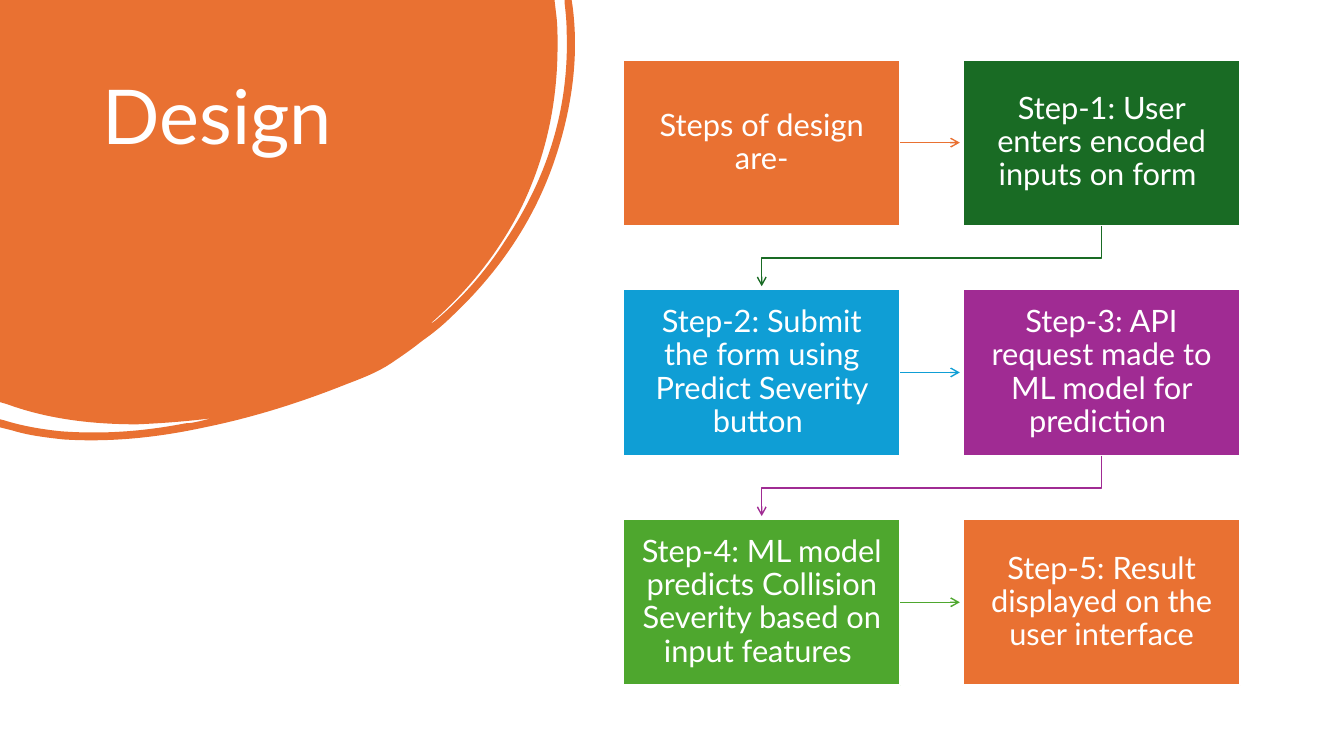
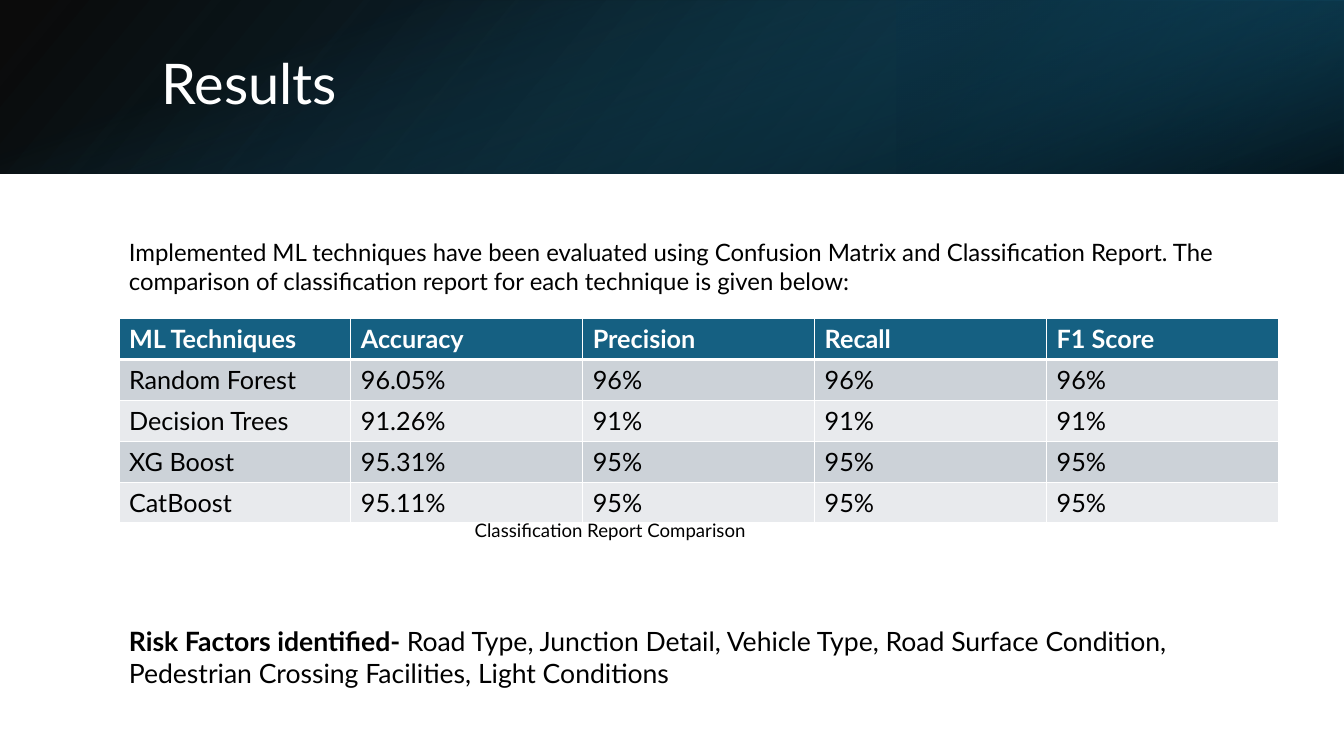
from dataclasses import dataclass
from typing import Any, Optional

from lxml.etree import SubElement
from pptx import Presentation
from pptx.dml.color import RGBColor
from pptx.enum.shapes import MSO_CONNECTOR, MSO_SHAPE
from pptx.enum.text import MSO_ANCHOR, MSO_AUTO_SIZE, PP_ALIGN
from pptx.oxml.ns import qn
from pptx.util import Inches, Pt

FONT = "Lato"
COLORS = {
    "white": "FFFFFF",
    "black": "000000",
    "orange": "E97132",
    "green": "196B24",
    "blue": "0F9ED5",
    "purple": "A02B93",
    "lime": "4EA72E",
    "teal": "156082",
    "deep_teal": "104862",
    "night": "0B3041",
    "gray": "CCD2D8",
    "pale": "E8EAED",
}

TITLE_FRAME = {"word_wrap": True, "auto_size": MSO_AUTO_SIZE.NONE}
NOTE_FRAME = {"word_wrap": True, "auto_size": MSO_AUTO_SIZE.SHAPE_TO_FIT_TEXT}
STEP_FRAME = {
    "word_wrap": True,
    "vertical_anchor": MSO_ANCHOR.MIDDLE,
    "margin_left": Inches(0.13),
    "margin_right": Inches(0.13),
    "margin_top": Inches(0.14),
    "margin_bottom": Inches(0.14),
}
TITLE_PARAGRAPH = {"alignment": PP_ALIGN.LEFT, "line_spacing": 0.9}
STEP_PARAGRAPH = {"alignment": PP_ALIGN.CENTER, "line_spacing": 0.9}
NOTE_PARAGRAPH = {"alignment": PP_ALIGN.LEFT, "space_after": Pt(6)}


@dataclass(frozen=True)
class Area:
    left: float
    top: float
    width: float
    height: float

    def lengths(self) -> list[int]:
        return [Inches(value) for value in (self.left, self.top, self.width, self.height)]


@dataclass(frozen=True)
class Span:
    text: str
    size: float
    color: str = "black"
    bold: bool = False


@dataclass(frozen=True)
class Step:
    text: str
    color: str


@dataclass(frozen=True)
class Stop:
    position: float
    color: str
    opacity: int


@dataclass(frozen=True)
class Band:
    area: Area
    angle: int
    stops: tuple[Stop, Stop]
    rotation: int = 0
    flipped: bool = False


@dataclass(frozen=True)
class Note:
    area: Area
    spans: tuple[Span, ...]


STEPS = [
    Step("Steps of design are-", "orange"),
    Step("Step-1: User enters encoded inputs on form ", "green"),
    Step("Step-2: Submit the form using Predict Severity button ", "blue"),
    Step("Step-3: API request made to ML model for prediction ", "purple"),
    Step("Step-4: ML model predicts Collision Severity based on input features ", "lime"),
    Step("Step-5: Result displayed on the user interface", "orange"),
]
STEP_WIDTH, STEP_HEIGHT = 2.75, 1.65
STEP_LEFT, STEP_TOP = 6.18, 0.59
COLUMN_PITCH, ROW_PITCH = 3.37, 2.28
ARROW_GAP = 0.03

BLOB_OUTLINE = [
    (0, 0), (5.5, 0), (5.52, 0.17),
    (5.53, 0.26, 5.53, 0.36, 5.53, 0.45),
    (5.53, 1.01, 5.42, 1.54, 5.18, 2.04),
    (4.96, 2.49, 4.65, 2.88, 4.27, 3.21),
    (4.29, 3.21, 4.3, 3.19, 4.32, 3.18),
    (4.59, 2.95, 4.82, 2.69, 5.01, 2.39),
    (5.43, 1.76, 5.65, 1.07, 5.62, 0.3),
    (5.62, 0.21, 5.61, 0.12, 5.6, 0.03),
    (5.6, 0), (5.67, 0), (5.68, 0.07),
    (5.74, 0.54, 5.68, 1.02, 5.53, 1.5),
    (5.33, 2.14, 4.97, 2.68, 4.48, 3.14),
    (4.39, 3.23, 4.29, 3.31, 4.19, 3.38),
    (4.09, 3.46, 3.99, 3.53, 3.87, 3.61),
    (3.75, 3.69, 3.6, 3.75, 3.44, 3.81),
    (2.99, 3.99, 2.52, 4.14, 2.03, 4.24),
    (1.57, 4.34, 1.1, 4.39, 0.63, 4.36),
    (0.45, 4.34, 0.28, 4.32, 0.12, 4.27),
    (0, 4.24), (0, 4.16), (0.04, 4.17),
    (0.23, 4.23, 0.42, 4.26, 0.61, 4.28),
    (1.03, 4.31, 1.43, 4.28, 1.84, 4.2),
    (1.89, 4.2, 1.93, 4.19, 1.98, 4.18),
    (2.02, 4.17, 2.06, 4.16, 2.1, 4.15),
    (1.86, 4.18, 1.61, 4.2, 1.36, 4.21),
    (0.92, 4.21, 0.48, 4.16, 0.07, 4.01),
    (0, 3.99),
]

BANDS = [
    Band(Area(0, 0, 13.33, 1.72), 140,
         (Stop(0, "black", 96), Stop(1, "deep_teal", 100)), flipped=True),
    Band(Area(8.89, 0, 4.44, 1.72), 320,
         (Stop(0.19, "night", 68), Stop(1, "teal", 79)), rotation=180, flipped=True),
    Band(Area(5.8, -5.8, 1.72, 13.33), 340,
         (Stop(0.23, "teal", 0), Stop(0.99, "black", 74)), rotation=90),
]

REPORT = [
    ("ML Techniques", "Accuracy", "Precision", "Recall", "F1 Score"),
    ("Random Forest", "96.05%", "96%", "96%", "96%"),
    ("Decision Trees", "91.26%", "91%", "91%", "91%"),
    ("XG Boost", "95.31%", "95%", "95%", "95%"),
    ("CatBoost", "95.11%", "95%", "95%", "95%"),
]

NOTES = [
    Note(Area(1.18, 6.15, 11.01, 0.74), (
        Span("Risk Factors identified- ", 19, bold=True),
        Span("Road Type, Junction Detail, Vehicle Type, Road Surface Condition, "
             "Pedestrian Crossing Facilities, Light Conditions", 19),
    )),
    Note(Area(1.18, 2.31, 11.01, 0.68), (
        Span("Implemented ML techniques have been evaluated using Confusion Matrix and "
             "Classification Report. The comparison of classification report for each "
             "technique is given below:", 17.1),
    )),
    Note(Area(4.61, 5.1, 3.7, 0.32), (Span("Classification Report Comparison", 13.3),)),
]


def rgb(name: str) -> RGBColor:
    return RGBColor.from_string(COLORS[name])


def apply_format(target: Any, values: dict[str, Any]) -> None:
    for name, value in values.items():
        setattr(target, name, value)


def write_text(frame: Any, spans: tuple[Span, ...], frame_format: dict[str, Any],
               para_format: dict[str, Any]) -> None:
    apply_format(frame, frame_format)
    para = frame.paragraphs[0]
    apply_format(para, para_format)
    for span in spans:
        run = para.add_run()
        run.text = span.text
        apply_format(run.font, {"name": FONT, "size": Pt(span.size), "bold": span.bold})
        run.font.color.rgb = rgb(span.color)


def place_title(page: Any, text: str, area: Area, size: float, anchor: MSO_ANCHOR) -> None:
    title = page.shapes.title
    page.shapes.element.append(title.element)
    names = ("left", "top", "width", "height")
    apply_format(title, dict(zip(names, area.lengths())))
    write_text(title.text_frame, (Span(text, size, "white"),),
               TITLE_FRAME | {"vertical_anchor": anchor}, TITLE_PARAGRAPH)


def add_rectangle(page: Any, area: Area, color: Optional[str] = None) -> Any:
    box = page.shapes.add_shape(MSO_SHAPE.RECTANGLE, *area.lengths())
    box.shadow.inherit = False
    box.line.fill.background()
    if color:
        box.fill.solid()
        box.fill.fore_color.rgb = rgb(color)
    return box


def add_outline(page: Any, segments: list[tuple[float, ...]], close: bool) -> Any:
    points = [(Inches(segment[-2]), Inches(segment[-1])) for segment in segments]
    builder = page.shapes.build_freeform(*points[0], scale=1.0)
    builder.add_line_segments(points[1:], close=close)
    outline = builder.convert_to_shape()
    outline.shadow.inherit = False
    lines = list(outline.element.spPr.iter(qn("a:lnTo")))
    for line, segment in zip(lines, segments[1:]):
        if len(segment) == 6:
            bend_segment(line, segment, outline.left, outline.top)
    return outline


def bend_segment(line: Any, segment: tuple[float, ...], left: int, top: int) -> None:
    line.tag = qn("a:cubicBezTo")
    for index in (0, 2):
        x, y = Inches(segment[index]) - left, Inches(segment[index + 1]) - top
        control = SubElement(line, qn("a:pt"), x=str(x), y=str(y))
        line.insert(index // 2, control)


def style_arrow(arrow: Any, color: str) -> None:
    arrow.line.color.rgb = rgb(color)
    arrow.line.width = Pt(1)
    SubElement(arrow.element.spPr.find(qn("a:ln")), qn("a:tailEnd"), type="arrow")


def add_step(page: Any, step: Step, area: Area) -> Any:
    box = add_rectangle(page, area, step.color)
    box.line.color.rgb = rgb("white")
    box.line.width = Pt(1.5)
    write_text(box.text_frame, (Span(step.text, 22, "white"),), STEP_FRAME, STEP_PARAGRAPH)
    return box


def add_side_arrow(page: Any, box: Any, area: Area, color: str) -> None:
    middle = Inches(area.top + area.height / 2)
    arrow = page.shapes.add_connector(
        MSO_CONNECTOR.STRAIGHT, Inches(area.left + area.width), middle,
        Inches(area.left + COLUMN_PITCH - ARROW_GAP), middle)
    arrow.begin_connect(box, 3)
    style_arrow(arrow, color)
    SubElement(arrow.element.spPr, qn("a:effectLst"))


def add_return_arrow(page: Any, area: Area, color: str) -> None:
    start_x = area.left + area.width / 2
    end_x = start_x - COLUMN_PITCH
    start_y = area.top + area.height
    end_y = area.top + ROW_PITCH - ARROW_GAP
    bend_y = start_y + 0.32
    arrow = add_outline(
        page, [(start_x, start_y), (start_x, bend_y), (end_x, bend_y), (end_x, end_y)], False)
    arrow.fill.background()
    style_arrow(arrow, color)


def add_band(page: Any, band: Band) -> None:
    box = add_rectangle(page, band.area)
    box.fill.gradient()
    box.fill.gradient_angle = 360 - band.angle
    for target, stop in zip(box.fill.gradient_stops, band.stops):
        target.position = stop.position
        target.color.rgb = rgb(stop.color)
    colors = box.element.spPr.find(qn("a:gradFill")).iter(qn("a:srgbClr"))
    for color, stop in zip(list(colors), band.stops):
        SubElement(color, qn("a:alpha"), val=str(stop.opacity * 1000))
    box.rotation = band.rotation
    if band.flipped:
        box.element.spPr.find(qn("a:xfrm")).set("flipH", "1")


def add_borders(cell: Any, widths: dict[str, float]) -> None:
    properties = cell._tc.get_or_add_tcPr()
    for index, (side, width) in enumerate(widths.items()):
        border = SubElement(properties, qn(f"a:ln{side}"), w=str(Pt(width)))
        fill = SubElement(border, qn("a:solidFill"))
        SubElement(fill, qn("a:srgbClr"), val=COLORS["white"])
        properties.insert(index, border)


def add_report(page: Any, area: Area) -> None:
    table = page.shapes.add_table(len(REPORT), len(REPORT[0]), *area.lengths()).table
    for row, values in enumerate(REPORT):
        header = row == 0
        fill = "teal" if header else ("pale", "gray")[row % 2]
        widths = {"L": 1, "R": 1, "T": 3 if row == 1 else 1, "B": 3 if header else 1}
        for column, value in enumerate(values):
            cell = table.cell(row, column)
            cell.fill.solid()
            cell.fill.fore_color.rgb = rgb(fill)
            add_borders(cell, widths)
            span = Span(value, 18, "white" if header else "black", header)
            write_text(cell.text_frame, (span,), {}, {})


def build_design(page: Any) -> None:
    blob = add_outline(page, BLOB_OUTLINE, True)
    blob.fill.solid()
    blob.fill.fore_color.rgb = rgb("orange")
    blob.line.fill.background()
    place_title(page, "Design", Area(0.92, 0.74, 3.52, 2.22), 54, MSO_ANCHOR.TOP)
    for index, step in enumerate(STEPS):
        row, column = divmod(index, 2)
        area = Area(STEP_LEFT + column * COLUMN_PITCH, STEP_TOP + row * ROW_PITCH,
                    STEP_WIDTH, STEP_HEIGHT)
        box = add_step(page, step, area)
        if column == 0:
            add_side_arrow(page, box, area, step.color)
        elif index < len(STEPS) - 1:
            add_return_arrow(page, area, step.color)


def build_results(page: Any) -> None:
    for band in BANDS:
        add_band(page, band)
    place_title(page, "Results", Area(1.5, 0.38, 10.98, 0.96), 40, MSO_ANCHOR.MIDDLE)
    add_report(page, Area(1.18, 3.16, 11.5, 2.03))
    for note in NOTES:
        box = page.shapes.add_textbox(*note.area.lengths())
        write_text(box.text_frame, note.spans, NOTE_FRAME, NOTE_PARAGRAPH)


def main() -> None:
    deck = Presentation()
    deck.slide_width, deck.slide_height = Inches(13.33), Inches(7.5)
    for build in (build_design, build_results):
        build(deck.slides.add_slide(deck.slide_layouts[5]))
    deck.save("out.pptx")


if __name__ == "__main__":
    main()
